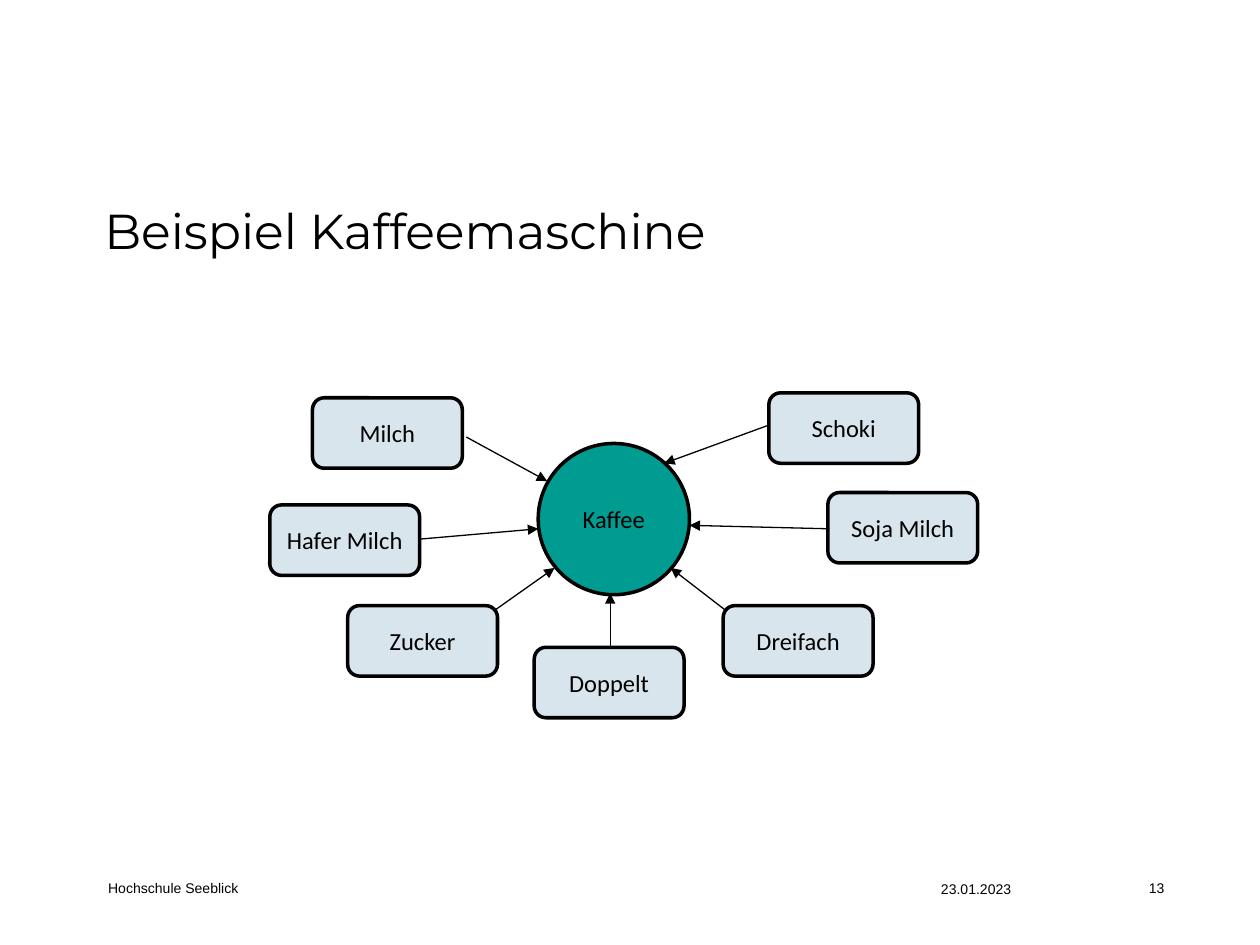
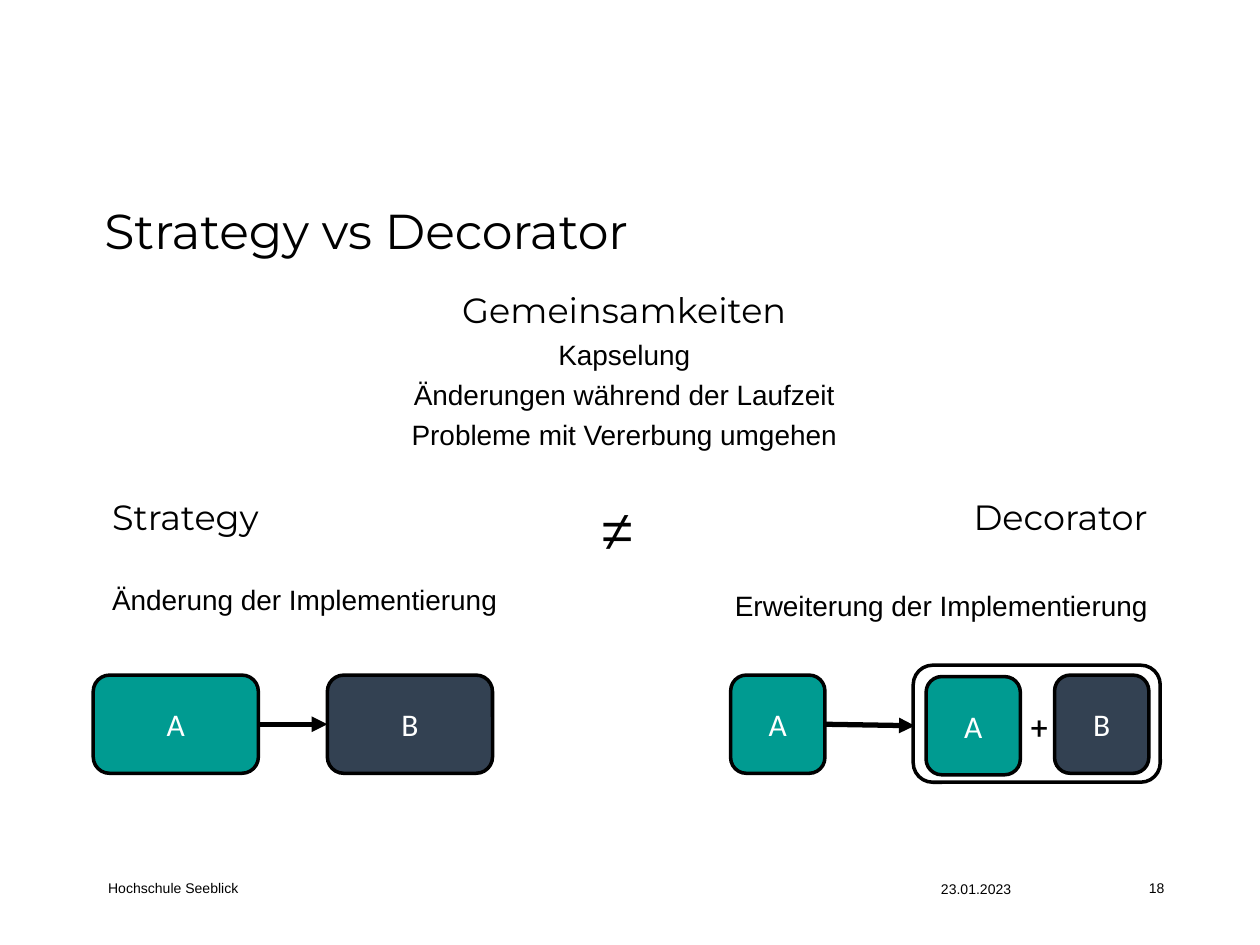
from pptx import Presentation
from pptx.dml.color import RGBColor
from pptx.enum.shapes import MSO_CONNECTOR as Link, MSO_SHAPE as Form
from pptx.enum.text import MSO_ANCHOR as Anchor, MSO_AUTO_SIZE as Fit, PP_ALIGN as Align
from pptx.oxml.ns import qn
from pptx.util import Cm, Pt
from lxml.etree import SubElement

BLACK, WHITE = "000000", "FFFFFF"
TEAL, NAVY, PALE = "009B91", "334152", "D9E5EC"
HEAD, BODY, LABEL = "Montserrat", "Arial", "Calibri"
SPACE = 0.23


def paint(target, color):
    target.rgb = RGBColor.from_string(color)


def fill(shape, color):
    shape.fill.solid()
    paint(shape.fill.fore_color, color)


def write(para, text, size, font, color=BLACK, align=Align.LEFT):
    para.alignment = align
    run = para.add_run()
    run.text = text
    run.font.size = Pt(size)
    run.font.name = font
    paint(run.font.color, color)


def place(shape, box):
    shape.left, shape.top, shape.width, shape.height = [Cm(n) for n in box]


def frame(shape, anchor=Anchor.TOP):
    text = shape.text_frame
    text.word_wrap = True
    text.auto_size = Fit.NONE
    text.vertical_anchor = anchor
    return text


def add_text(slide, box, anchor=Anchor.TOP):
    return frame(slide.shapes.add_textbox(*[Cm(n) for n in box]), anchor)


def add_lines(text, lines, align):
    for i, (line, size, font, gap) in enumerate(lines):
        para = text.add_paragraph() if i else text.paragraphs[0]
        write(para, line, size, font, align=align)
        para.space_before = Pt(gap)


def add_node(slide, box, color, label="", size=14, ink=BLACK, form=Form.ROUNDED_RECTANGLE):
    node = slide.shapes.add_shape(form, *[Cm(n) for n in box])
    node.shadow.inherit = False
    fill(node, color)
    paint(node.line.color, BLACK)
    node.line.width = Pt(2)
    if label:
        text = frame(node, Anchor.MIDDLE)
        write(text.paragraphs[0], label, size, LABEL, ink, Align.CENTER)


def add_arrow(slide, start, end, width):
    arrow = slide.shapes.add_connector(Link.STRAIGHT, *[Cm(n) for n in (*start, *end)])
    paint(arrow.line.color, BLACK)
    arrow.line.width = Pt(width)
    props = arrow.element.spPr
    SubElement(props.find(qn("a:ln")), qn("a:tailEnd"), type="triangle")
    SubElement(props, qn("a:effectLst"))


def add_base(deck, layout, title, number):
    slide = deck.slides.add_slide(deck.slide_layouts[layout])
    head = slide.shapes.title
    place(head, (1.85, 3.91, 21.41, 1.68))
    write(frame(head).paragraphs[0], title, 28, HEAD)
    for label, box, anchor in (
        (number, (22.91, 17.6, 2.21, 0.61), Anchor.TOP),
        ("23.01.2023", (18.72, 17.53, 2.31, 0.76), Anchor.MIDDLE),
        ("Hochschule Seeblick", (1.93, 17.45, 3.89, 0.89), Anchor.MIDDLE),
    ):
        write(add_text(slide, box, anchor).paragraphs[0], label, 8, BODY)
    return slide


def add_coffee(slide, x, y):
    add_node(slide, (x + 5.41, y + 1.02, 3.05, 3.05), TEAL, "Kaffee", form=Form.OVAL)
    extras = (
        ("Zucker", (1.57, 4.29), (4.55, 4.37), (5.74, 3.53)),
        ("Doppelt", (5.33, 5.13), (6.86, 5.16), (6.86, 4.04)),
        ("Dreifach", (9.14, 4.29), (9.17, 4.37), (8.08, 3.53)),
        ("Hafer Milch", (0, 2.26), (3, 2.95), (5.41, 2.74)),
        ("Milch", (0.86, 0.1), (3.96, 0.89), (5.59, 1.78)),
        ("Schoki", (10.06, 0), (10.03, 0.66), (7.95, 1.42)),
        ("Soja Milch", (11.25, 2.01), (11.28, 2.74), (8.46, 2.67)),
    )
    for label, spot, start, end in extras:
        (left, top), start, end = [(x + a, y + b) for a, b in (spot, start, end)]
        add_node(slide, (left, top, 3.02, 1.42), PALE, label)
        add_arrow(slide, start, end, 0.75)


def add_common(slide, box):
    body = slide.placeholders[1]
    place(body, box)
    text = frame(body)
    points = ("Kapselung", "Änderungen während der Laufzeit", "Probleme mit Vererbung umgehen")
    lines = [("Gemeinsamkeiten", 20, HEAD, 20 * SPACE)]
    lines += [(point, 16, BODY, 16 * SPACE) for point in points]
    add_lines(text, lines, Align.CENTER)
    for para in text.paragraphs:
        props = para._p.get_or_add_pPr()
        props.set("marL", "0")
        props.set("indent", "0")
        SubElement(props, qn("a:buNone"))


def add_side(slide, x, y, name, point, gap, align):
    lines = ((name, 20, HEAD, 0), (point, 16, BODY, gap))
    add_lines(add_text(slide, (x, y, 10.69, 3)), lines, align)


def add_sign(slide, box, sign, size, font):
    para = add_text(slide, box).paragraphs[0]
    write(para, sign, size, font)
    para.line_spacing = 1.5


def add_swap(slide, x, y):
    for step, color, label in ((0, TEAL, "A"), (4.72, NAVY, "B")):
        add_node(slide, (x + step, y, 3.33, 1.98), color, label, 18, WHITE)
    add_arrow(slide, (x + 3.33, y + 0.99), (x + 4.72, y + 0.99), 3)


def add_wrap(slide, x, y):
    add_node(slide, (x + 3.68, y - 0.2, 4.98, 2.36), WHITE)
    for step, drop, color, label in ((0, 0, TEAL, "A"), (3.94, 0.03, TEAL, "A"), (6.53, 0, NAVY, "B")):
        add_node(slide, (x + step, y + drop, 1.9, 1.98), color, label, 18, WHITE)
    add_arrow(slide, (x + 1.9, y + 0.99), (x + 3.71, y + 1.02), 3)
    add_sign(slide, (x + 5.79, y + 0.15, 0.74, 1.3), "+", 18, "Roboto")


def main():
    deck = Presentation()
    deck.slide_width, deck.slide_height = Cm(25.4), Cm(19.05)

    slide = add_base(deck, 5, "Beispiel Kaffeemaschine", "13")
    add_coffee(slide, 5.44, 7.92)

    slide = add_base(deck, 1, "Strategy vs Decorator", "18")
    add_common(slide, (1.88, 5.69, 21.41, 3.96))
    add_side(slide, 2.01, 9.86, "Strategy", "Änderung der Implementierung", 26, Align.LEFT)
    add_side(slide, 12.7, 9.86, "Decorator", "Erweiterung der Implementierung", 29, Align.RIGHT)
    add_sign(slide, (11.84, 9.02, 2.26, 2.34), "≠", 36, HEAD)
    add_swap(slide, 1.88, 13.61)
    add_wrap(slide, 14.73, 13.61)

    deck.save("out.pptx")


if __name__ == "__main__":
    main()
